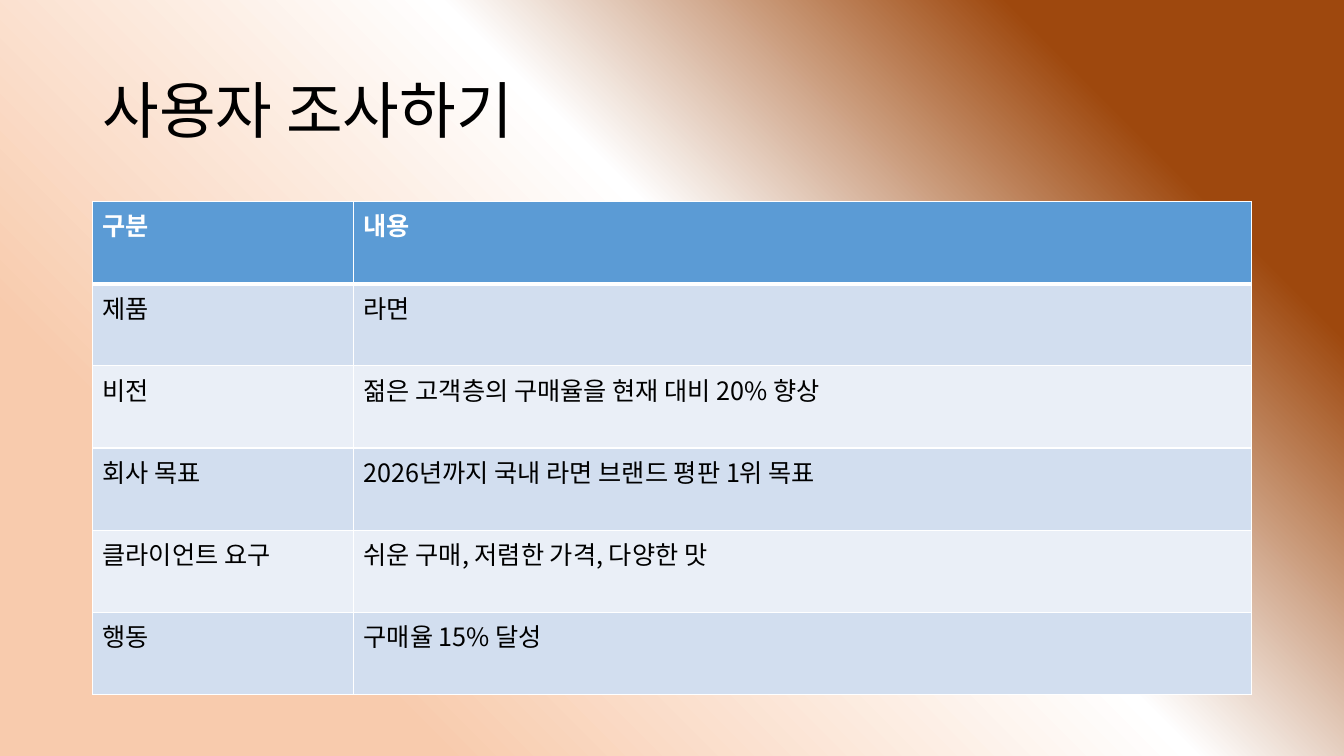
import copy
from dataclasses import dataclass

import pptx
import pptx.dml.color
import pptx.enum.text
import pptx.oxml
import pptx.oxml.ns
import pptx.util

Cm = pptx.util.Cm
Pt = pptx.util.Pt
RGB = pptx.dml.color.RGBColor.from_string
qn = pptx.oxml.ns.qn


@dataclass(frozen=True)
class Theme:
    font: str = "Noto Sans CJK KR"
    title_size: int = 44
    cell_size: int = 18
    text: str = "000000"
    light: str = "FFFFFF"
    header: str = "5B9BD5"
    bands: tuple = ("D2DEEF", "EAEFF7")
    backdrop: tuple = ((0.21, "F8CBAD"), (0.57, "FFFFFF"), (0.84, "9E480E"))
    backdrop_angle: int = 45
    rule: int = 1
    header_rule: int = 3


THEME = Theme()

ROWS = [
    ("구분", "내용"),
    ("제품", "라면"),
    ("비전", "젊은 고객층의 구매율을 현재 대비 20% 향상"),
    ("회사 목표", "2026년까지 국내 라면 브랜드 평판 1위 목표"),
    ("클라이언트 요구", "쉬운 구매, 저렴한 가격, 다양한 맛"),
    ("행동", "구매율 15% 달성"),
]


def set_attrs(obj, values):
    for name, value in values.items():
        setattr(obj, name, value)


def write_text(tf, text, size, color, bold=False):
    p = tf.paragraphs[0]
    r = p.add_run()
    r.text = text
    set_attrs(r.font, {"name": THEME.font, "size": Pt(size), "bold": bold})
    r.font.color.rgb = RGB(color)
    # Korean glyphs take the East Asian typeface
    ea = pptx.oxml.parse_xml(
        f'<a:ea {pptx.oxml.ns.nsdecls("a")} typeface="{THEME.font}"/>')
    r.font._element.find(qn("a:latin")).addnext(ea)
    return p


def paint_background(s):
    fill = s.background.fill
    fill.gradient()
    fill.gradient_angle = THEME.backdrop_angle
    stops = s.element.find(".//" + qn("a:gsLst"))
    stops.append(copy.deepcopy(stops[-1]))
    for stop, (position, color) in zip(fill.gradient_stops, THEME.backdrop):
        stop.position = position
        stop.color.rgb = RGB(color)


def add_title(s, text):
    sp = s.shapes.title
    set_attrs(sp, {"left": Cm(2.33), "top": Cm(1.01),
                   "width": Cm(29.21), "height": Cm(3.68)})
    set_attrs(sp.text_frame, {
        "word_wrap": True,
        "vertical_anchor": pptx.enum.text.MSO_ANCHOR.MIDDLE})
    p = write_text(sp.text_frame, text, THEME.title_size, THEME.text)
    set_attrs(p, {"line_spacing": 0.9,
                  "alignment": pptx.enum.text.PP_ALIGN.LEFT})


def set_borders(cell, widths):
    tcPr = cell._tc.get_or_add_tcPr()
    for i, (side, width) in enumerate(widths.items()):
        tcPr.insert(i, pptx.oxml.parse_xml(
            f'<a:ln{side} {pptx.oxml.ns.nsdecls("a")} w="{Pt(width)}">'
            f'<a:solidFill><a:srgbClr val="{THEME.light}"/></a:solidFill>'
            f'</a:ln{side}>'))


def style_cell(cell, row, text):
    is_header = row == 0
    cell.fill.solid()
    cell.fill.fore_color.rgb = RGB(
        THEME.header if is_header else THEME.bands[(row - 1) % 2])
    write_text(cell.text_frame, text, THEME.cell_size,
               THEME.light if is_header else THEME.text, is_header)
    # The thick rule lies between the header and the first body row
    set_borders(cell, {
        "L": THEME.rule, "R": THEME.rule,
        "T": THEME.header_rule if row == 1 else THEME.rule,
        "B": THEME.header_rule if is_header else THEME.rule})


def add_grid(s, rows, col_widths, row_height):
    table = s.shapes.add_table(
        len(rows), len(col_widths), Cm(2.33), Cm(5.08),
        sum(col_widths), row_height * len(rows)).table
    for col, width in zip(table.columns, col_widths):
        col.width = width
    for i, texts in enumerate(rows):
        table.rows[i].height = row_height
        for j, text in enumerate(texts):
            style_cell(table.cell(i, j), i, text)


def main():
    prs = pptx.Presentation()
    set_attrs(prs, {"slide_width": Cm(33.87), "slide_height": Cm(19.05)})
    s = prs.slides.add_slide(prs.slide_layouts.get_by_name("Title Only"))

    paint_background(s)
    add_title(s, "사용자 조사하기")
    add_grid(s, ROWS, (Cm(6.58), Cm(22.63)), Cm(2.07))

    prs.save("out.pptx")


if __name__ == "__main__":
    main()
